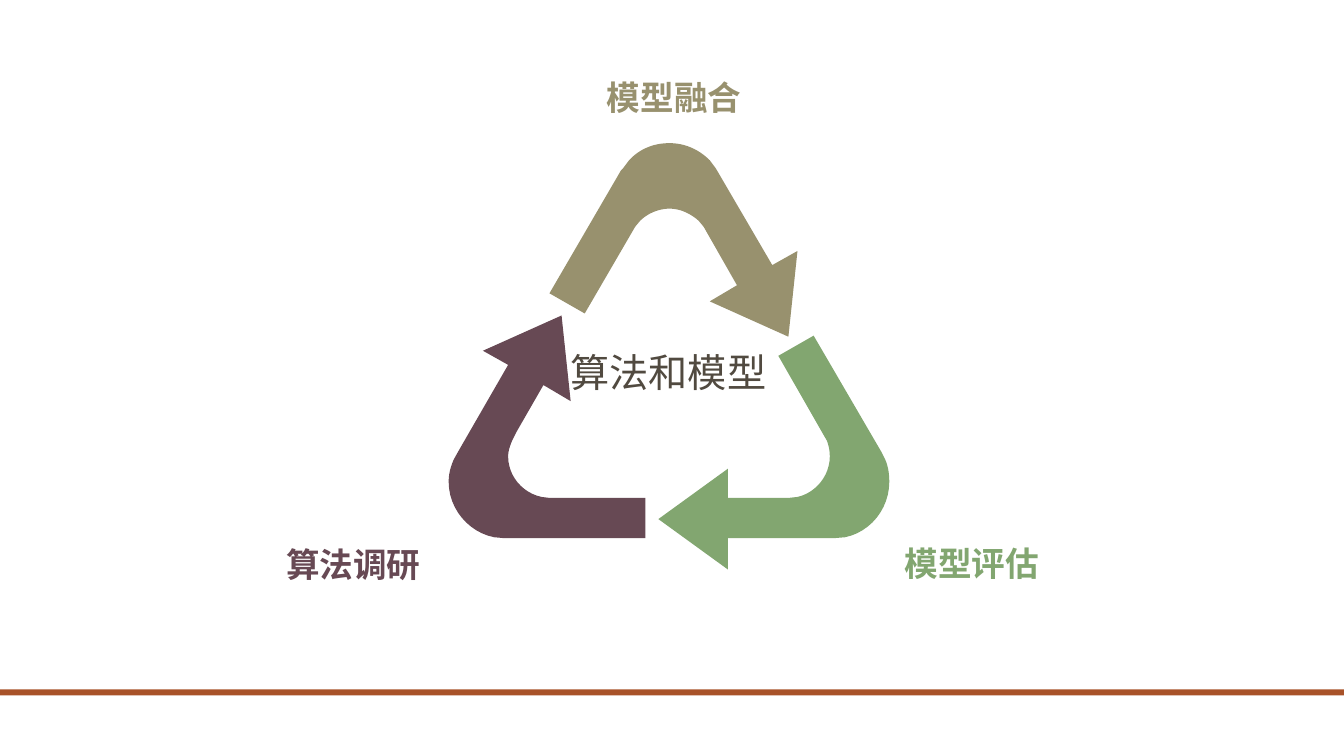
"""Build a slide with a cycle of three bent arrows around a central topic."""
from pptx import Presentation
from pptx.dml.color import RGBColor as Rgb
from pptx.enum.shapes import MSO_SHAPE as Shape
from pptx.enum.text import MSO_AUTO_SIZE as Fit, PP_ALIGN as Align
from pptx.util import Inches, Pt

COLS, ROWS = 1333, 750
UNIT = Inches(0.01)
STEPS = 12
HUES = {"sand": "98916E", "leaf": "82A670", "plum": "674954",
        "ink": "514A40", "rust": "A85229"}

# A pair is a corner; six numbers are two curve handles and an end point.
ARROWS = [
    ("sand", [
        (545, 291), (616, 169), (618, 167), (624, 159),
        (634, 148, 648, 142, 664, 142), (679, 142, 693, 148, 704, 159),
        (710, 167), (766, 263), (791, 249), (782, 334), (704, 299),
        (731, 283), (698, 225), (693, 219),
        (685, 212, 675, 207, 664, 207), (653, 207, 642, 212, 635, 219),
        (630, 225), (580, 311)]),
    ("leaf", [
        (807, 333), (874, 448), (878, 456),
        (881, 463, 882, 470, 882, 478), (882, 505, 863, 528, 838, 533),
        (826, 534), (722, 534), (722, 565), (653, 515), (722, 465),
        (722, 494), (782, 494), (791, 493),
        (809, 489, 823, 472, 823, 453), (823, 447, 822, 442, 820, 437),
        (816, 430), (772, 353)]),
    ("plum", [
        (557, 313), (566, 398), (539, 382), (512, 429), (508, 437),
        (506, 442, 504, 447, 504, 453), (504, 472, 518, 489, 537, 493),
        (545, 494), (640, 494), (640, 534), (501, 534), (490, 533),
        (465, 528, 445, 505, 445, 478), (445, 470, 447, 463, 450, 456),
        (455, 447), (504, 362), (479, 348)]),
]
LABELS = [
    ("模型融合", (602, 71, 135, 51), dict(hue="sand", face="Calibri")),
    ("模型评估", (897, 534, 135, 50), dict(hue="leaf")),
    ("算法调研", (282, 535, 135, 50), dict(hue="plum", align=Align.RIGHT)),
    ("算法和模型", (565, 317, 196, 72),
     dict(hue="ink", face="Arial", size=28, bold=False,
          align=Align.CENTER, space=1.5)),
]
RULE = (0, 684, COLS, 6)


def place(box):
    return [round(n * UNIT) for n in box]


def trace(marks):
    spots = [marks[0]]
    for mark in marks[1:]:
        if len(mark) == 2:
            spots.append(mark)
            continue
        knots = [spots[-1], mark[:2], mark[2:4], mark[4:]]
        for step in range(1, STEPS + 1):
            t = step / STEPS
            parts = ((1 - t) ** 3, 3 * t * (1 - t) ** 2,
                     3 * t * t * (1 - t), t ** 3)
            spots.append(tuple(sum(p * k[axis] for p, k in zip(parts, knots))
                               for axis in (0, 1)))
    return spots


def paint(shape, hue):
    shape.shadow.inherit = False
    shape.fill.solid()
    shape.fill.fore_color.rgb = Rgb.from_string(HUES[hue])
    shape.line.fill.background()


def write(slide, text, box, hue="ink", face="Cambria", size=24, bold=True,
          align=Align.LEFT, space=1.0):
    frame = slide.shapes.add_textbox(*place(box)).text_frame
    frame.margin_left = frame.margin_right = 0
    frame.word_wrap = False
    frame.auto_size = Fit.SHAPE_TO_FIT_TEXT
    para = frame.paragraphs[0]
    para.alignment, para.line_spacing = align, space
    run = para.add_run()
    run.text = text
    font = run.font
    font.name, font.size, font.bold = face, Pt(size), bold
    font.color.rgb = Rgb.from_string(HUES[hue])


def main():
    deck = Presentation()
    deck.slide_width, deck.slide_height = place((COLS, ROWS))
    slide = deck.slides.add_slide(deck.slide_layouts[6])
    paint(slide.shapes.add_shape(Shape.RECTANGLE, *place(RULE)), "rust")
    for hue, marks in ARROWS:
        spots = trace(marks)
        pen = slide.shapes.build_freeform(*place(spots[0]), scale=1.0)
        pen.add_line_segments([place(spot) for spot in spots[1:]])
        paint(pen.convert_to_shape(), hue)
    for text, box, style in LABELS:
        write(slide, text, box, **style)
    deck.save("out.pptx")


if __name__ == "__main__":
    main()
